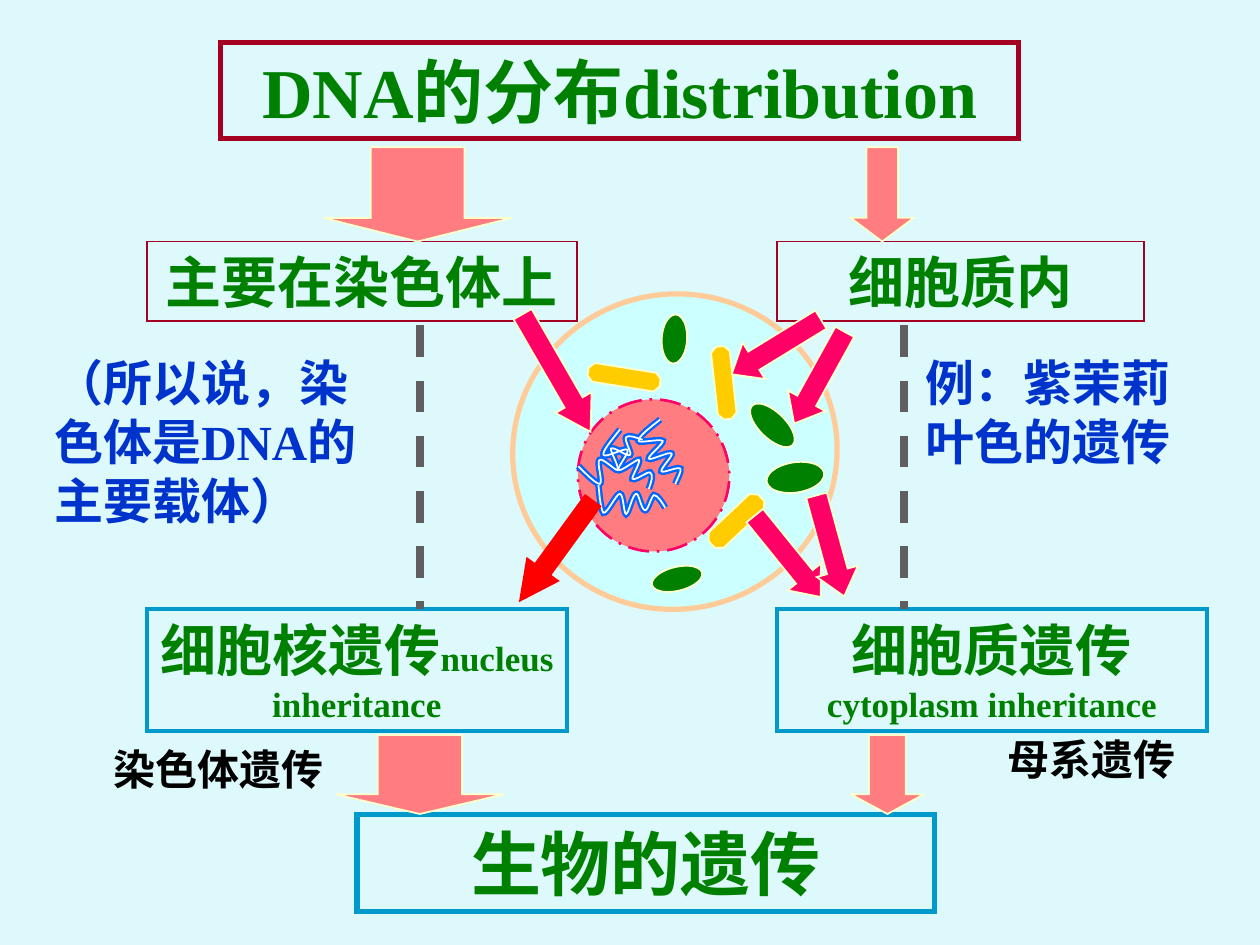
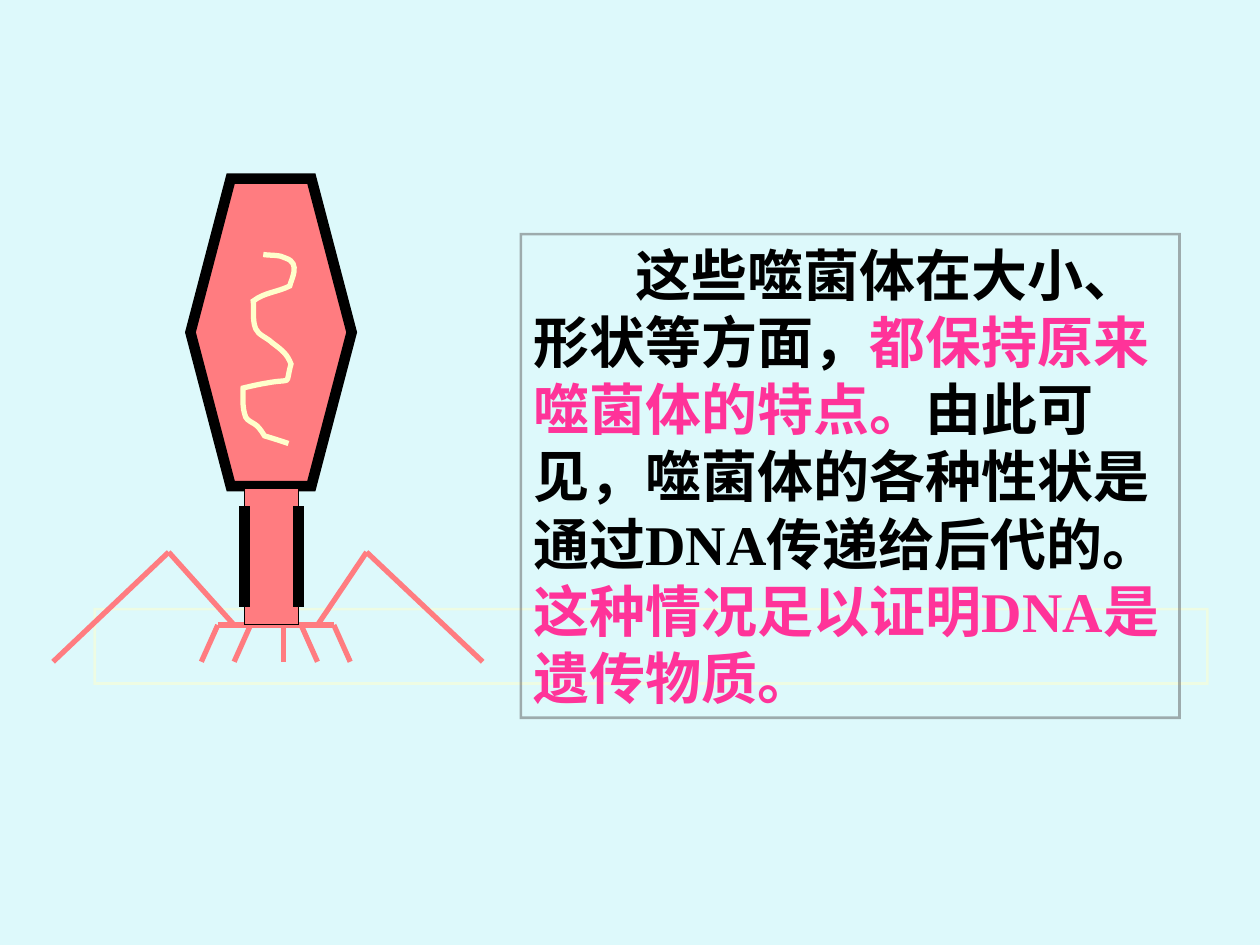
import lxml.etree
import pptx
import pptx.dml.color
import pptx.enum.dml
import pptx.enum.lang
import pptx.enum.shapes
import pptx.enum.text
import pptx.oxml.ns
import pptx.util

Cm = pptx.util.Cm
SHAPE = pptx.enum.shapes.MSO_SHAPE
DASH = pptx.enum.dml.MSO_LINE
ALIGN = pptx.enum.text.PP_ALIGN
FIT = pptx.enum.text.MSO_AUTO_SIZE

# Shared look
FONT = "Times New Roman"
SKY, GREEN, BLUE, BLACK = "DDF9FB", "008000", "0033CC", "000000"
SALMON, CREAM, PINK, MAGENTA = "FF7C80", "FFFFCC", "FF3399", "FF0066"
MAROON, TEAL, GREY = "A50021", "0099CC", "5F5F5F"

# Slide 1: boxes are (left, top, width, height) in cm
TITLE = ("DNA的分布distribution", (4.45, 0.85, 16.08, 1.95))
# text runs with sizes, box, line colour, line width
FLOW_BOXES = [
    ([("主要在染色体上", 32)], (2.96, 4.87, 8.68, 1.61), MAROON, 1),
    ([("细胞质内", 32)], (15.66, 4.87, 7.41, 1.61), MAROON, 1),
    ([("细胞核遗传", 32), ("nucleus inheritance", 20)],
     (2.96, 12.28, 8.47, 2.46), TEAL, 2.25),
    ([("细胞质遗传", 32), ("cytoplasm inheritance", 20)],
     (15.66, 12.28, 8.68, 2.46), TEAL, 2.25),
    ([("生物的遗传", 40)], (7.2, 16.42, 11.64, 1.95), TEAL, 3),
]
# box, head length ratio
FLOW_ARROWS = [
    ((6.53, 2.97, 3.78, 1.9), 0.25),
    ((17.15, 2.97, 1.27, 1.9), 0.375),
    ((6.77, 14.82, 3.39, 1.59), 0.25),
    ((17.15, 14.82, 1.48, 1.59), 0.269),
]
DASHED_COLUMNS = [8.47, 18.22]
DASHED_TOP, DASHED_BOTTOM = 6.56, 12.28
# text, box, size, colour, alignment
NOTES = [
    ("（所以说，染色体是DNA的主要载体）", (0.85, 6.98, 6.98, 3.81), 28, BLUE, ALIGN.LEFT),
    ("例：紫茉莉叶色的遗传", (18.41, 6.98, 5.93, 2.64), 28, BLUE, ALIGN.LEFT),
    ("染色体遗传", (1.3, 14.86, 6.2, 1.27), 24, BLACK, ALIGN.CENTER),
    ("母系遗传", (18.9, 14.66, 6.2, 1.27), 24, BLACK, ALIGN.CENTER),
]
CELL = ((10.43, 5.83, 6.35, 6.55), 77.1)
NUCLEUS = ((11.64, 8.06, 3.07, 3.05), 65.2)
MITOCHONDRIA = [
    ((14.63, 9.82, 0.43, 1.37), 46.7),
    ((12.39, 6.87, 0.38, 1.47), 99.1),
    ((14.4, 6.98, 0.38, 1.47), 173.7),
]
CHLOROPLASTS = [
    ((13.1, 6.58, 0.99, 0.51), 93.2),
    ((15, 8.31, 1.14, 0.53), 44),
    ((13.13, 11.43, 1.04, 0.48), 346.3),
    ((15.45, 9.32, 1.17, 0.61), 351.5),
]
# box, rotation, head length ratio
CELL_ARROWS = [
    ((10.8, 6.15, 0.84, 2.74), 330, 0.812),
    ((15.45, 10.16, 0.86, 2.11), 321, 0.606),
    ((16.31, 9.95, 0.86, 2.11), 344.7, 0.606),
    ((16.09, 6.56, 0.86, 2.11), 28.9, 0.606),
    ((15.22, 5.94, 0.86, 2.11), 58.5, 0.606),
]
NUCLEUS_ARROW = (11.96, 10.08, 10.46, 12.14)

# Curves: a start, then three Bezier points a segment, in CURVE_UNIT
CURVE_UNIT = Cm(0.0254)
CHROMOSOMES = [
    [(528, 403), (525, 398), (522, 393), (519, 393), (517, 394), (514, 406), (512, 405),
     (509, 405), (507, 391), (505, 392), (502, 392), (499, 408), (497, 408),
     (495, 408), (495, 392), (492, 392), (489, 392), (482, 408), (479, 407),
     (477, 405), (476, 395), (475, 385)],
    [(510, 349), (504, 347), (499, 345), (497, 347), (495, 349), (502, 360), (500, 361),
     (498, 363), (487, 354), (485, 356), (484, 358), (492, 371), (490, 373),
     (489, 374), (478, 363), (476, 365), (473, 366), (479, 383), (476, 384),
     (473, 384), (466, 377), (459, 370)],
    [(536, 384), (538, 379), (541, 374), (540, 372), (538, 370), (526, 376), (525, 374),
     (524, 372), (535, 361), (533, 360), (531, 358), (516, 366), (515, 364),
     (514, 362), (527, 352), (526, 350), (524, 348), (507, 352), (507, 350),
     (506, 347), (515, 340), (524, 333)],
    [(515, 388), (517, 382), (519, 377), (516, 375), (514, 374), (504, 382), (502, 380),
     (501, 379), (509, 366), (507, 365), (506, 364), (492, 375), (491, 373),
     (489, 372), (500, 359), (498, 357), (496, 355), (480, 364), (479, 361),
     (478, 358), (485, 350), (492, 341)],
]

# Slide 2
PHAGE_BAND = (1.91, 12.28, 22.43, 1.5)
PHAGE_TEXT_BOX = (10.5, 4.72, 13.28, 9.75)
PHAGE_TEXT = [
    ("这些噬菌体在大小、形状等方面，", BLACK),
    ("都保持原来噬菌体的特点。", PINK),
    ("由此可见，噬菌体的各种性状是通过DNA传递给后代的。", BLACK),
    ("这种情况足以证明DNA是遗传物质。", PINK),
]
PHAGE_HEAD = (3.84, 3.6, 3.25, 6.2)
PHAGE_SHEATH = (4.93, 9.85, 1.09, 2.74)
WALL_TOP, WALL_BOTTOM = 10.21, 12.24
KNEE_Y, PLATE_Y, FOOT_Y = 11.13, 12.6, 13.34
PLATE = (4.39, 6.73)
SPIKES = [(4.39, 4.06), (5.05, 4.72), (5.72, 5.72), (6.07, 6.4), (6.73, 7.06)]
LEGS = [(4.72, 3.4, 1.07), (6.4, 7.39, 9.73)]  # hip, knee, foot
PHAGE_DNA = [
    (209, 202), (215, 203), (222, 202), (227, 205), (239, 209), (231, 222), (230, 227),
    (220, 232), (210, 232), (201, 239), (202, 246), (200, 254), (203, 261),
    (205, 266), (212, 268), (216, 272), (224, 278), (228, 281), (231, 289),
    (226, 307), (233, 300), (212, 304), (205, 305), (193, 308), (193, 308),
    (193, 316), (192, 323), (195, 331), (196, 334), (202, 336), (204, 338),
    (207, 341), (208, 343), (210, 346), (217, 348), (229, 352), (229, 352)]


def colour(value):
    return pptx.dml.color.RGBColor.from_string(value)


def add_xml(parent, tag, **attributes):
    return lxml.etree.SubElement(parent, pptx.oxml.ns.qn(tag), **attributes)


def outline(shape, line_colour, width, dash=None, alpha=None, arrow=False):
    line = shape.line
    line.fill.solid()
    line.fill.fore_color.rgb = colour(line_colour)
    line.width = pptx.util.Pt(width)
    if dash:
        line.dash_style = dash
    element = shape._element.spPr.find(pptx.oxml.ns.qn("a:ln"))
    if alpha:
        value = element.find(".//" + pptx.oxml.ns.qn("a:srgbClr"))
        add_xml(value, "a:alpha", val=str(alpha * 1000))
    add_xml(element, "a:miter", lim="800000")
    if arrow:
        add_xml(element, "a:tailEnd", type="triangle", w="sm", len="sm")


def paint(shape, fill):
    if fill:
        shape.fill.solid()
        shape.fill.fore_color.rgb = colour(fill)
    else:
        shape.fill.background()


def add_figure(page, kind, box, line_colour, width, fill=None, rotation=0,
               adjust=(), **line_format):
    shape = page.shapes.add_shape(kind, *map(Cm, box))
    shape.shadow.inherit = False
    shape.rotation = rotation
    for index, value in enumerate(adjust):
        shape.adjustments[index] = value
    paint(shape, fill)
    outline(shape, line_colour, width, **line_format)
    return shape


def add_line(page, ends, line_colour, width, **line_format):
    line = page.shapes.add_connector(
        pptx.enum.shapes.MSO_CONNECTOR.STRAIGHT, *map(Cm, ends))
    outline(line, line_colour, width, **line_format)
    add_xml(line._element.spPr, "a:effectLst")


def add_curve(page, points, line_colour, width, fill=None):
    builder = page.shapes.build_freeform(*points[0], scale=CURVE_UNIT)
    builder.add_line_segments(points[1:], close=False)
    curve = builder.convert_to_shape()
    # Each three straight segments become one Bezier segment
    outline_path = curve._element.find(".//" + pptx.oxml.ns.qn("a:path"))
    steps = outline_path.findall(pptx.oxml.ns.qn("a:lnTo"))
    for first in range(0, len(steps), 3):
        bezier = add_xml(outline_path, "a:cubicBezTo")
        for step in steps[first:first + 3]:
            bezier.append(step[0])
            outline_path.remove(step)
    curve.shadow.inherit = False
    paint(curve, fill)
    outline(curve, line_colour, width)


def write(shape, runs, align=ALIGN.CENTER, indent=0, fit=FIT.SHAPE_TO_FIT_TEXT):
    """Fill a shape with one paragraph of (text, size, colour) runs."""
    frame = shape.text_frame
    frame.word_wrap = True
    frame.auto_size = fit
    frame.vertical_anchor = pptx.enum.text.MSO_ANCHOR.TOP
    para = frame.paragraphs[0]
    para.alignment = align
    properties = para._p.get_or_add_pPr()
    properties.set("indent", str(Cm(indent)))
    properties.set("hangingPunct", "0")
    for text, size, text_colour in runs:
        span = para.add_run()
        span.text = text
        span.font.name = FONT
        span.font.size = pptx.util.Pt(size)
        span.font.bold = True
        span.font.color.rgb = colour(text_colour)
        span.font.language_id = pptx.enum.lang.MSO_LANGUAGE_ID.SIMPLIFIED_CHINESE


def build_distribution(deck):
    page = deck.slides.add_slide(deck.slide_layouts.get_by_name("Title Only"))

    # Title
    text, box = TITLE
    title = page.shapes.title
    title.left, title.top, title.width, title.height = map(Cm, box)
    outline(title, MAROON, 3)
    write(title, [(text, 40, GREEN)], fit=FIT.NONE)

    # Flow chart
    for runs, box, line_colour, width in FLOW_BOXES:
        shape = add_figure(page, SHAPE.RECTANGLE, box, line_colour, width)
        write(shape, [(text, size, GREEN) for text, size in runs])
    for x in DASHED_COLUMNS:
        add_line(page, (x, DASHED_TOP, x, DASHED_BOTTOM), GREY, 4.5, dash=DASH.DASH)
    for box, head in FLOW_ARROWS:
        add_figure(page, SHAPE.DOWN_ARROW, box, CREAM, 1, SALMON, adjust=(0.5, head))
    for text, box, size, text_colour, align in NOTES:
        write(page.shapes.add_textbox(*map(Cm, box)), [(text, size, text_colour)], align)

    # Cell
    box, rotation = CELL
    add_figure(page, SHAPE.OVAL, box, "FFCC99", 3, "CCFFFF", rotation)
    box, rotation = NUCLEUS
    add_figure(page, SHAPE.OVAL, box, MAGENTA, 1.5, SALMON, rotation,
               dash=DASH.LONG_DASH_DOT)
    for box, rotation in MITOCHONDRIA:
        add_figure(page, SHAPE.OCTAGON, box, CREAM, 1, "FFCC00", rotation)
    for box, rotation in CHLOROPLASTS:
        add_figure(page, SHAPE.OVAL, box, CREAM, 1, GREEN, rotation)
    for line_colour, width in (("0066FF", 3.75), ("FFFFFF", 1)):
        for strand in CHROMOSOMES:
            add_curve(page, strand, line_colour, width)

    # Arrows into and out of the cell
    for box, rotation, head in CELL_ARROWS:
        add_figure(page, SHAPE.DOWN_ARROW, box, CREAM, 1, MAGENTA, rotation, (0.5, head))
    add_line(page, NUCLEUS_ARROW, "FF0000", 11.75, arrow=True)


def build_phage(deck):
    page = deck.slides.add_slide(deck.slide_layouts.get_by_name("Blank"))

    # Conclusion
    add_figure(page, SHAPE.RECTANGLE, PHAGE_BAND, CREAM, 1.5, alpha=50)
    shape = add_figure(page, SHAPE.RECTANGLE, PHAGE_TEXT_BOX, GREY, 1.5, alpha=50)
    write(shape, [(text, 32, tint) for text, tint in PHAGE_TEXT], ALIGN.LEFT, indent=2.06)

    # Base plate, spikes and legs
    limbs = [(PLATE[0], PLATE_Y, PLATE[1], PLATE_Y)]
    limbs += [(top, PLATE_Y, foot, FOOT_Y) for top, foot in SPIKES]
    for hip, knee, foot in LEGS:
        limbs += [(hip, PLATE_Y, knee, KNEE_Y), (knee, KNEE_Y, foot, FOOT_Y)]
    for ends in limbs:
        add_line(page, ends, SALMON, 3)

    # Head, sheath and DNA
    add_figure(page, SHAPE.HEXAGON, PHAGE_HEAD, BLACK, 6, SALMON)
    add_figure(page, SHAPE.RECTANGLE, PHAGE_SHEATH, BLACK, 1, SALMON)
    add_curve(page, PHAGE_DNA, CREAM, 3, SALMON)
    left, _, width, _ = PHAGE_SHEATH
    for x in (left, left + width):
        add_line(page, (x, WALL_TOP, x, WALL_BOTTOM), BLACK, 6)


def main():
    deck = pptx.Presentation()
    deck.slide_width, deck.slide_height = Cm(25.4), Cm(19.05)
    backdrop = deck.slide_master.background.fill
    backdrop.solid()
    backdrop.fore_color.rgb = colour(SKY)
    build_distribution(deck)
    build_phage(deck)
    deck.save("out.pptx")


if __name__ == "__main__":
    main()
